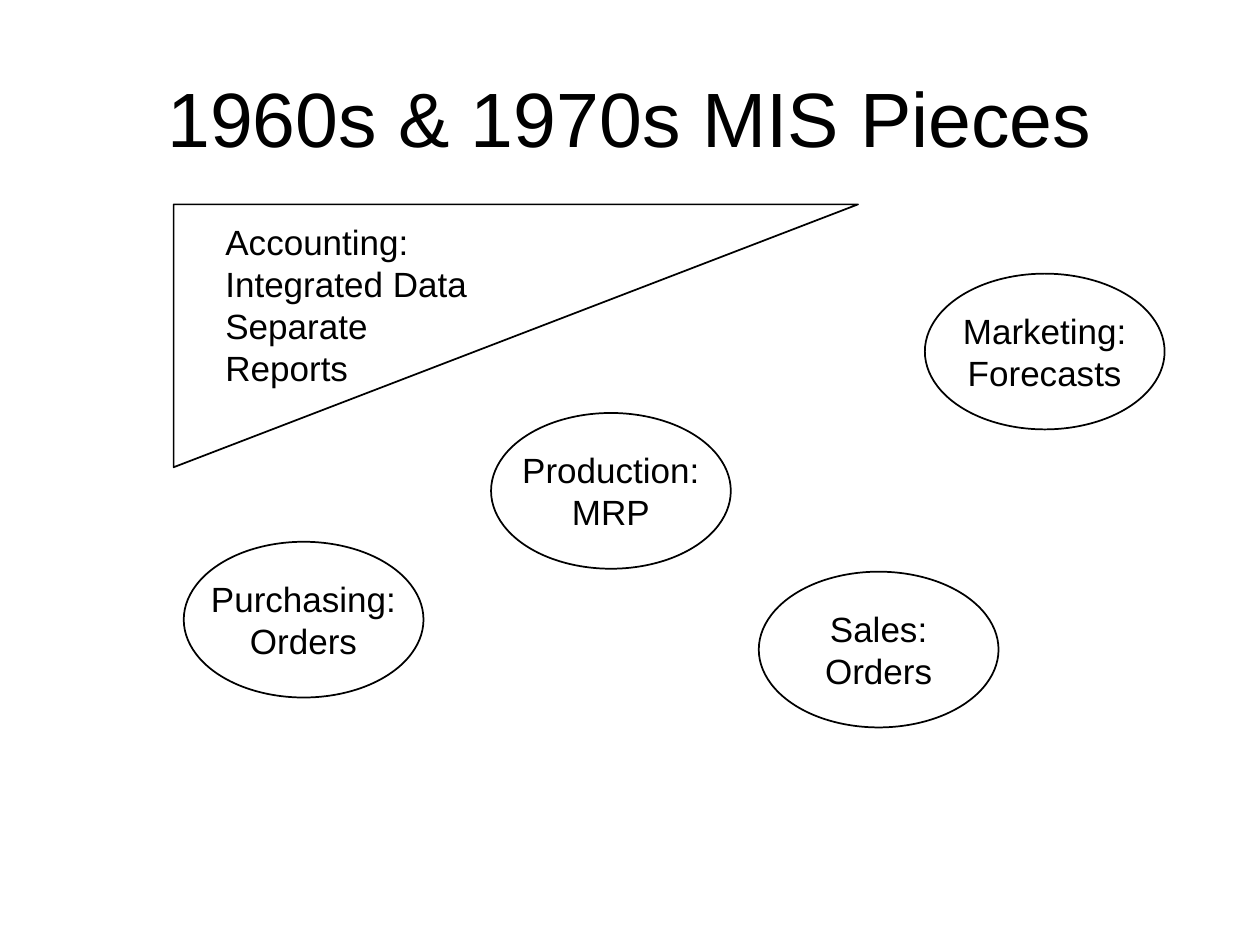
"""Build the slide on the separate MIS pieces of the 1960s and 1970s."""
from pptx import Presentation
from pptx.dml.color import RGBColor
from pptx.enum import shapes, text
from pptx.util import Pt


def write(tf, content, size=20, color="000000", align="CENTER", anchor="MIDDLE", wrap=True):
    tf.text = content
    tf.word_wrap = wrap
    tf.auto_size = text.MSO_AUTO_SIZE.NONE
    tf.vertical_anchor = text.MSO_ANCHOR[anchor]
    tf.margin_left = tf.margin_right = Pt(7.2)
    tf.margin_top = tf.margin_bottom = Pt(3.6)
    for p in tf.paragraphs:
        p.alignment = text.PP_ALIGN[align]
        for r in p.runs:
            r.font.name = "Arial"
            r.font.size = Pt(size)
            r.font.color.rgb = RGBColor.from_string(color)


def outline(sp, color="000000", width=1):
    sp.shadow.inherit = False
    sp.fill.background()
    sp.line.color.rgb = RGBColor.from_string(color)
    sp.line.width = Pt(width)


prs = Presentation()
prs.slide_width, prs.slide_height = Pt(720), Pt(540)
s = prs.slides.add_slide(prs.slide_layouts[5])

title = s.shapes.title
title.left, title.top, title.width, title.height = Pt(36), Pt(21.6), Pt(648), Pt(90)
write(title.text_frame, "1960s & 1970s MIS Pieces", size=44)

pieces = [
    ("Purchasing:\nOrders", 105, 309.6),
    ("Sales:\nOrders", 433.6, 326.7),
    ("Production:\nMRP", 280.6, 236),
    ("Marketing:\nForecasts", 528.5, 156.4),
]
for label, left, top in pieces:
    sp = s.shapes.add_shape(shapes.MSO_SHAPE.OVAL, Pt(left), Pt(top), Pt(137), Pt(89))
    outline(sp)
    write(sp.text_frame, label, wrap=False)

left, top, right, bottom = Pt(99.2), Pt(116.8), Pt(490.3), Pt(267)
fb = s.shapes.build_freeform(left, top)
fb.add_line_segments([(left, bottom), (right, top)], close=True)
outline(fb.convert_to_shape())

accounting = s.shapes.add_textbox(Pt(121.7), Pt(122.4), Pt(260.6), Pt(103.7))
write(accounting.text_frame, "Accounting:\nIntegrated Data\nSeparate\nReports",
      align="LEFT", anchor="TOP")
accounting.text_frame.auto_size = text.MSO_AUTO_SIZE.SHAPE_TO_FIT_TEXT

prs.save("out.pptx")
